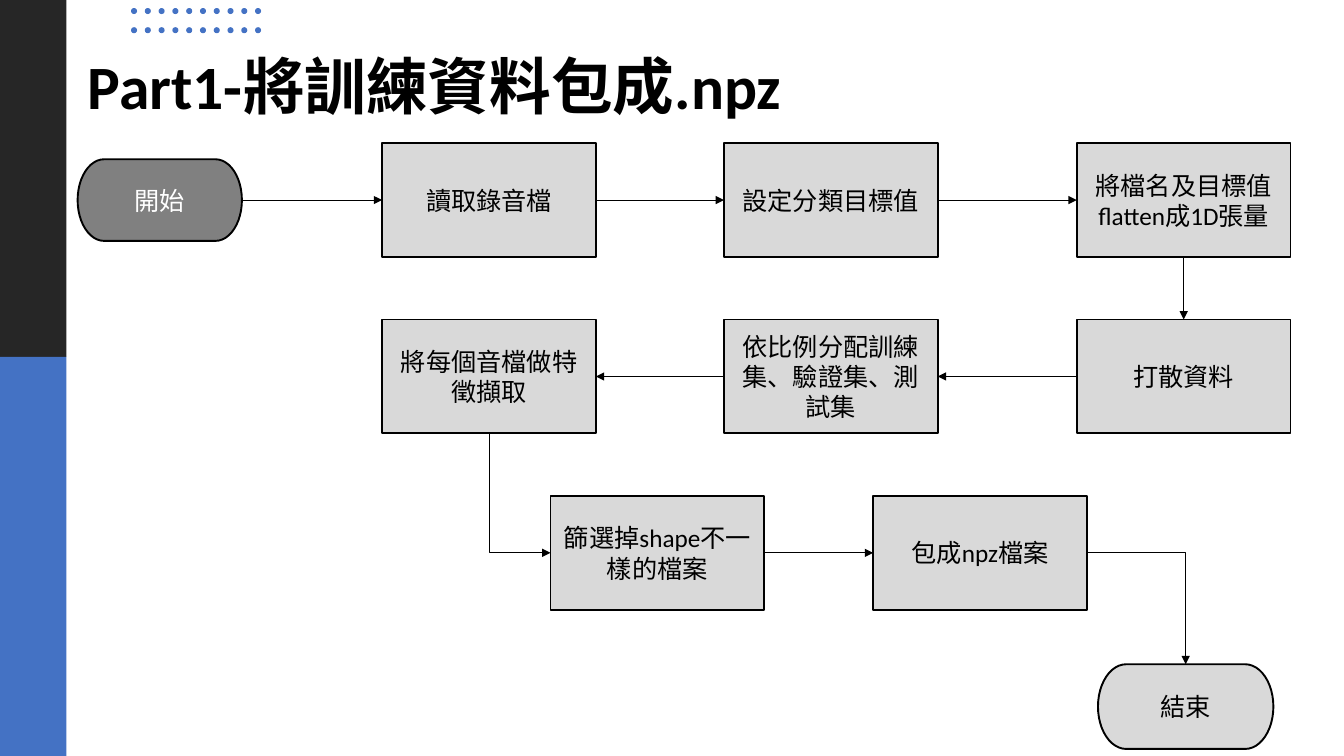
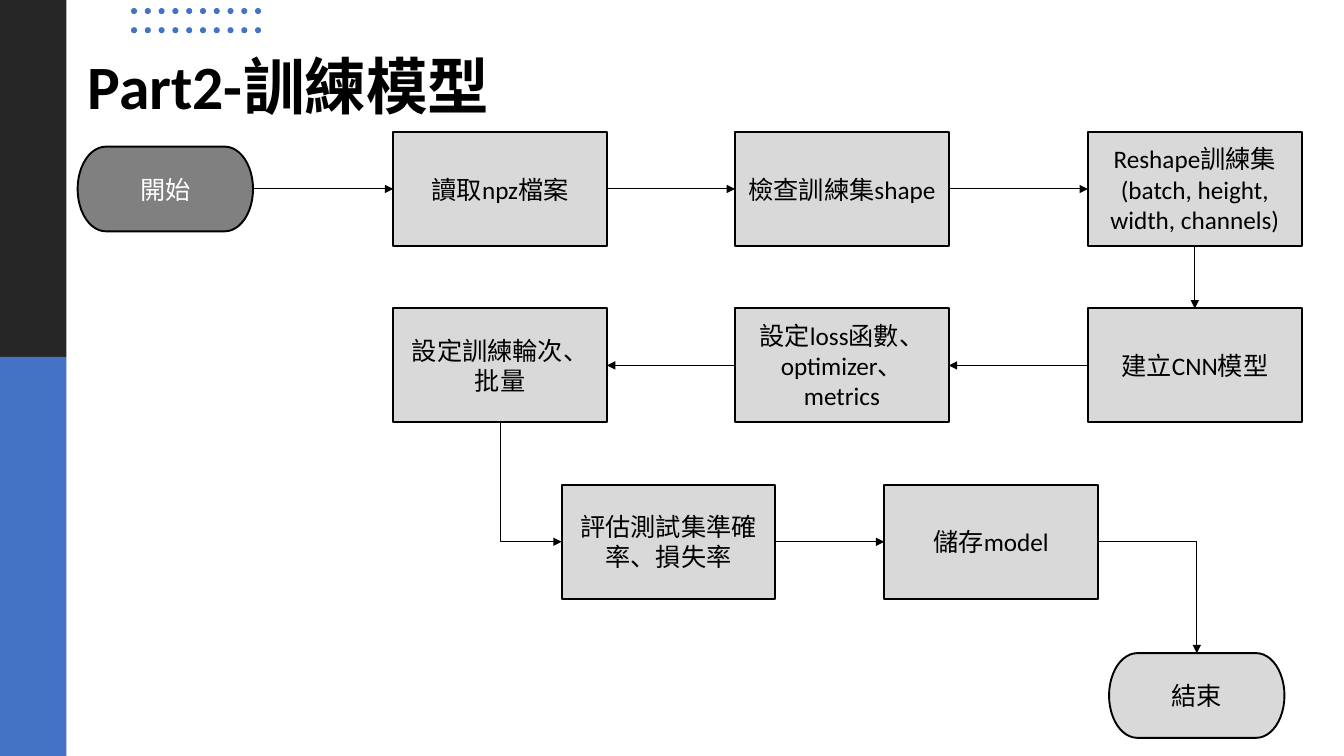
from dataclasses import dataclass
from pptx import Presentation
from pptx import util as u
from pptx.dml.color import RGBColor as Rgb
from pptx.enum import shapes, text
from pptx.oxml import parse_xml
from pptx.oxml.ns import nsdecls, qn

Inches, Pt = u.Inches, u.Pt
Kind = shapes.MSO_SHAPE


@dataclass(frozen=True)
class Theme:
    font: str = "Calibri"
    head: int = 44
    body: int = 18
    edge: float = 1.35
    wire: float = 0.75
    ink: str = "000000"
    white: str = "FFFFFF"
    dark: str = "262626"
    blue: str = "4472C4"
    mid: str = "808080"
    pale: str = "D9D9D9"


T = Theme()

# Content: the steps run in flow order; origin is the corner of the first step
PAGES = [
    {"title": "Part1-將訓練資料包成.npz", "origin": (3.79, 1.42), "start": (1.63, 0.81),
     "steps": ["讀取錄音檔", "設定分類目標值", "將檔名及目標值flatten成1D張量",
               "打散資料", "依比例分配訓練集、驗證集、測試集", "將每個音檔做特徵擷取",
               "篩選掉shape不一樣的檔案", "包成npz檔案"]},
    {"title": "Part2-訓練模型", "origin": (3.9, 1.31), "start": (1.74, 0.84),
     "steps": ["讀取npz檔案", "檢查訓練集shape",
               "Reshape訓練集\n(batch, height, width, channels)",
               "建立CNN模型", "設定loss函數、optimizer、metrics", "設定訓練輪次、批量",
               "評估測試集準確率、損失率", "儲存model"]},
]
START, END = "開始", "結束"

# Flow grid: offsets from the origin
COLS, LAST = (0, 3.39, 6.89), (1.67, 4.87)
ROW, BOX = 1.75, (2.12, 1.13)
SPOTS = ([(x, 0) for x in COLS] + [(x, ROW) for x in reversed(COLS)]
         + [(x, 2 * ROW) for x in LAST])
STOP, PILL = (7.1, 5.17), (1.74, 0.84)
LEFT = 0.77

# Connection sites, and the pair used by each arrow in flow order
TOP, WEST, BASE, EAST = range(4)
LINKS = [(EAST, WEST)] * 3 + [(BASE, TOP)] + [(WEST, EAST)] * 2 + [
    (BASE, WEST), (EAST, WEST), (EAST, TOP)]


def style(par, size, color, bold=False):
    for run in par.runs:
        font = run.font
        font.name, font.size, font.bold = T.font, Pt(size), bold
        font.color.rgb = Rgb.from_string(color)


def shape(home, kind, at, size, fill):
    item = home.add_shape(kind, *map(Inches, (*at, *size)))
    item.shadow.inherit = False
    item.fill.solid()
    item.fill.fore_color.rgb = Rgb.from_string(fill)
    item.line.fill.background()
    return item


def node(home, kind, at, size, words, fill=T.pale, color=T.ink):
    item = shape(home, kind, at, size, fill)
    item.line.color.rgb = Rgb.from_string(T.ink)
    item.line.width = Pt(T.edge)
    frame = item.text_frame
    frame.word_wrap = True
    frame.vertical_anchor = text.MSO_ANCHOR.MIDDLE
    frame.text = words
    for par in frame.paragraphs:
        par.alignment = text.PP_ALIGN.CENTER
        style(par, T.body, color)
    return item


def arrow(home, tail, tip, sites):
    bent = sites in ((BASE, WEST), (EAST, TOP))
    form = shapes.MSO_CONNECTOR.ELBOW if bent else shapes.MSO_CONNECTOR.STRAIGHT
    wire = home.add_connector(form, 0, 0, 0, 0)
    wire.begin_connect(tail, sites[0])
    wire.end_connect(tip, sites[1])
    wire.line.color.rgb = Rgb.from_string(T.ink)
    wire.line.width = Pt(T.wire)
    props = wire._element.spPr
    if bent:
        props.find(qn("a:prstGeom")).set("prst", "bentConnector2")
    if sites == (BASE, WEST):
        # Down, then right: a quarter turn about the centre, mirrored
        wide, high = wire.width, wire.height
        wire.left += (wide - high) // 2
        wire.top += (high - wide) // 2
        wire.width, wire.height = high, wide
        frame = props.find(qn("a:xfrm"))
        frame.set("rot", "16200000")
        frame.set("flipH", "1")
    props.find(qn("a:ln")).append(parse_xml(f'<a:tailEnd {nsdecls("a")} type="triangle"/>'))
    props.append(parse_xml(f'<a:effectLst {nsdecls("a")}/>'))


def title(home, words):
    box = home.add_textbox(*map(Inches, (LEFT, 0.08, 11.5, 1.19)))
    frame = box.text_frame
    frame.word_wrap = True
    frame.vertical_anchor = text.MSO_ANCHOR.BOTTOM
    frame.text = words
    par = frame.paragraphs[0]
    par.line_spacing, par.space_after = 0.9, Pt(6)
    style(par, T.head, T.ink, True)
    rim = (f'<a:ln {nsdecls("a")} w="{Pt(T.wire)}"><a:solidFill>'
           f'<a:srgbClr val="{T.ink}"/></a:solidFill></a:ln>')
    par.runs[0].font._element.insert(0, parse_xml(rim))


def decor(home):
    shape(home, Kind.RECTANGLE, (0, 0), (0.66, 3.54), T.dark)
    shape(home, Kind.RECTANGLE, (0, 3.54), (0.66, 3.96), T.blue)
    dots = home.add_group_shape().shapes
    for i in range(20):
        row, col = divmod(i, 10)
        spot = (1.3 + col * 1.23 / 9, 0.08 + row * 0.19)
        shape(dots, Kind.OVAL, spot, (0.06, 0.06), T.blue)


def flow(home, page):
    x, y = page["origin"]
    wide, high = page["start"]
    pill = Kind.FLOWCHART_TERMINATOR
    chain = [node(home, pill, (LEFT, y + (BOX[1] - high) / 2), (wide, high),
                  START, T.mid, T.white)]
    for (dx, dy), words in zip(SPOTS, page["steps"]):
        chain.append(node(home, Kind.RECTANGLE, (x + dx, y + dy), BOX, words))
    chain.append(node(home, pill, (x + STOP[0], y + STOP[1]), PILL, END))
    for tail, tip, sites in zip(chain, chain[1:], LINKS):
        arrow(home, tail, tip, sites)


def main():
    deck = Presentation()
    deck.slide_width, deck.slide_height = Inches(13.33), Inches(7.5)
    for page in PAGES:
        home = deck.slides.add_slide(deck.slide_layouts[6]).shapes
        title(home, page["title"])
        decor(home)
        flow(home, page)
    deck.save("out.pptx")


if __name__ == "__main__":
    main()
